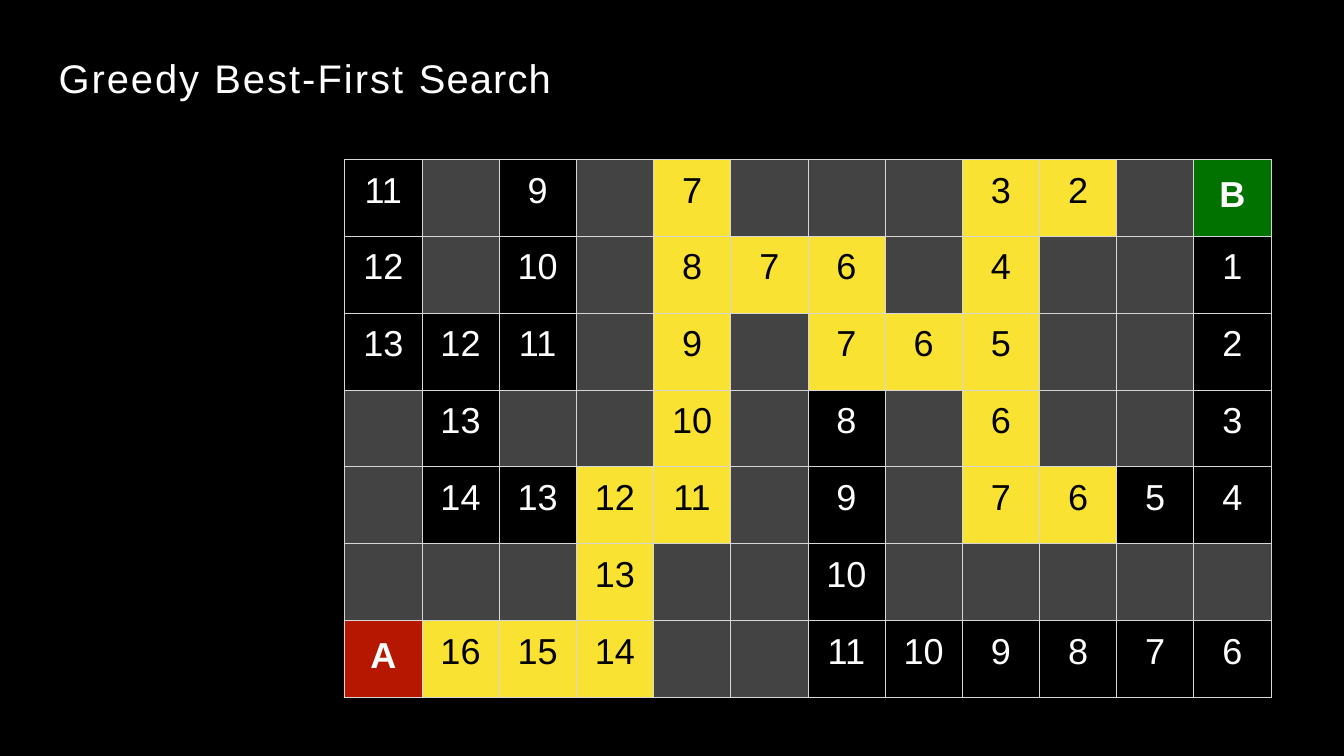
from lxml.etree import SubElement
from pptx import Presentation
from pptx.dml.color import RGBColor
from pptx.enum.text import MSO_ANCHOR, MSO_AUTO_SIZE, PP_ALIGN
from pptx.oxml.ns import qn
from pptx.util import Inches, Pt

TITLE_RUNS = [("Greedy ", 230), ("Best-First ", 240), ("Search", 140)]
WALL = "#"
PATH_MARK = "*"
MAZE = [
    "11 #   9  #   *7  #  #  #  *3 *2 # B",
    "12 #   10 #   *8  *7 *6 #  *4 #  # 1",
    "13 12  11 #   *9  #  *7 *6 *5 #  # 2",
    "#  13  #  #   *10 #  8  #  *6 #  # 3",
    "#  14  13 *12 *11 #  9  #  *7 *6 5 4",
    "#  #   #  *13 #   #  10 #  #  #  # #",
    "A  *16 *15 *14 #  #  11 10 9  8  7 6",
]

BLACK = RGBColor(0x00, 0x00, 0x00)
WHITE = RGBColor(0xFF, 0xFF, 0xFF)
WALL_GRAY = RGBColor(0x43, 0x43, 0x43)
PATH_YELLOW = RGBColor(0xFA, 0xE2, 0x32)
BORDER_GRAY = RGBColor(0xD6, 0xD7, 0xD6)
ENDPOINT_FILLS = {"A": RGBColor(0xB5, 0x17, 0x00), "B": RGBColor(0x01, 0x71, 0x00)}

FONT = "Arial"
TABLE_LEFT, TABLE_TOP = Inches(5.64), Inches(2.61)
TABLE_WIDTH, TABLE_HEIGHT = Inches(15.16), Inches(8.8)


def add_run(paragraph, text, size, color, spacing=0, bold=False):
    run = paragraph.add_run()
    run.text = text
    run.font.name = FONT
    run.font.size = Pt(size)
    run.font.bold = bold
    run.font.color.rgb = color
    run.font._element.set("spc", str(spacing))


def set_borders(cell):
    properties = cell._tc.get_or_add_tcPr()
    for position, side in enumerate(("lnL", "lnR", "lnT", "lnB")):
        line = SubElement(properties, qn(f"a:{side}"), w=str(Pt(1)))
        fill = SubElement(line, qn("a:solidFill"))
        SubElement(fill, qn("a:srgbClr"), val=str(BORDER_GRAY))
        properties.insert(position, line)


def cell_colors(token):
    if token == WALL:
        return WALL_GRAY, WHITE
    if token.startswith(PATH_MARK):
        return PATH_YELLOW, BLACK
    return ENDPOINT_FILLS.get(token, BLACK), WHITE


def fill_cell(cell, token):
    fill_color, text_color = cell_colors(token)
    is_endpoint = token in ENDPOINT_FILLS
    cell.fill.solid()
    cell.fill.fore_color.rgb = fill_color
    set_borders(cell)
    cell.margin_left = cell.margin_right = cell.margin_bottom = 0
    cell.margin_top = Inches(0.26 if is_endpoint else 0.18)
    cell.vertical_anchor = MSO_ANCHOR.TOP
    if token != WALL:
        paragraph = cell.text_frame.paragraphs[0]
        paragraph.alignment = PP_ALIGN.CENTER
        add_run(paragraph, token.lstrip(PATH_MARK), 42.5, text_color, bold=is_endpoint)


def add_title(slide):
    title = slide.shapes.title
    title.left, title.top = Inches(0.96), Inches(0.86)
    title.width, title.height = Inches(8.07), Inches(0.81)
    frame = title.text_frame
    frame.margin_left = frame.margin_right = frame.margin_bottom = 0
    frame.margin_top = Inches(0.01)
    frame.vertical_anchor = MSO_ANCHOR.TOP
    frame.word_wrap = True
    frame.auto_size = MSO_AUTO_SIZE.SHAPE_TO_FIT_TEXT
    paragraph = frame.paragraphs[0]
    paragraph.alignment = PP_ALIGN.LEFT
    for text, spacing in TITLE_RUNS:
        add_run(paragraph, text, 47, WHITE, spacing)


def add_maze(slide):
    rows = [row.split() for row in MAZE]
    table = slide.shapes.add_table(
        len(rows), len(rows[0]), TABLE_LEFT, TABLE_TOP, TABLE_WIDTH, TABLE_HEIGHT
    ).table
    table.first_row = False
    table.horz_banding = False
    for row_index, row in enumerate(rows):
        for column_index, token in enumerate(row):
            fill_cell(table.cell(row_index, column_index), token)


def main():
    presentation = Presentation()
    presentation.slide_width = Inches(21.99)
    presentation.slide_height = Inches(12.37)
    slide = presentation.slides.add_slide(presentation.slide_layouts[5])
    slide.background.fill.solid()
    slide.background.fill.fore_color.rgb = BLACK
    add_maze(slide)
    add_title(slide)
    presentation.save("out.pptx")


if __name__ == "__main__":
    main()
